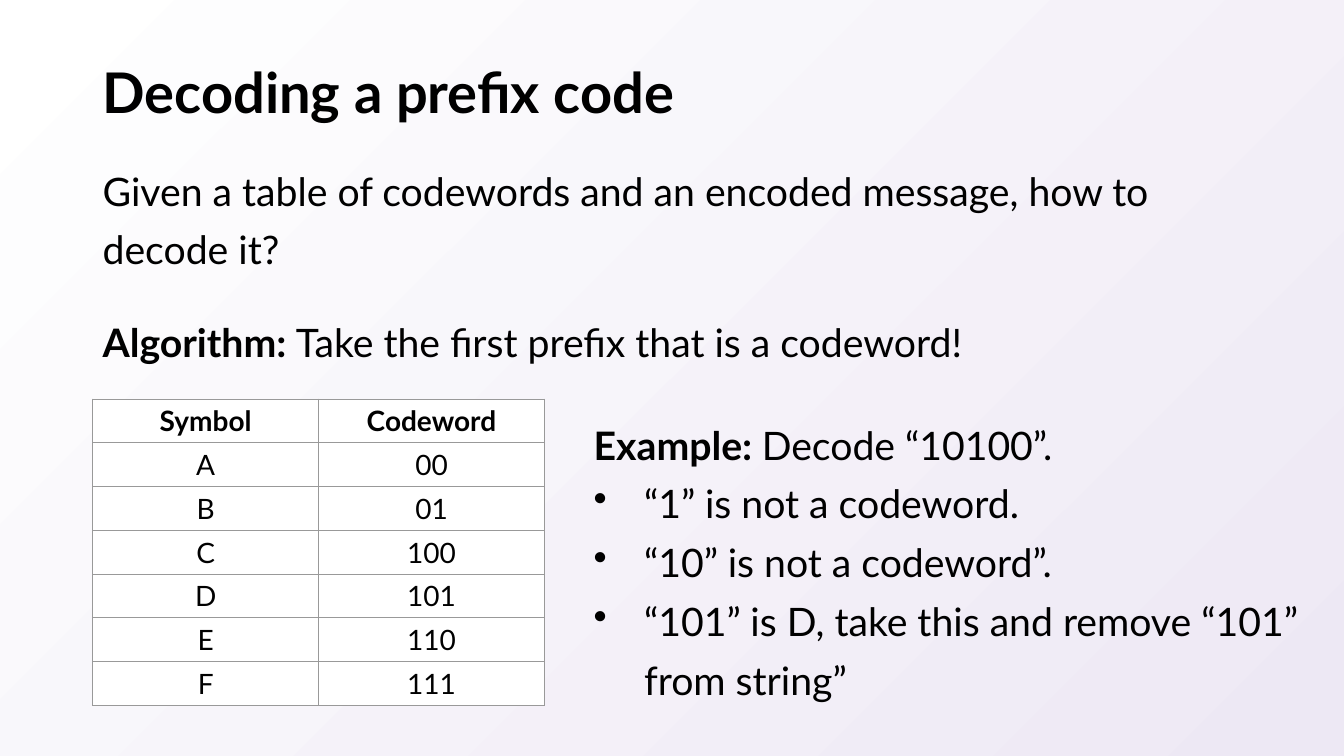
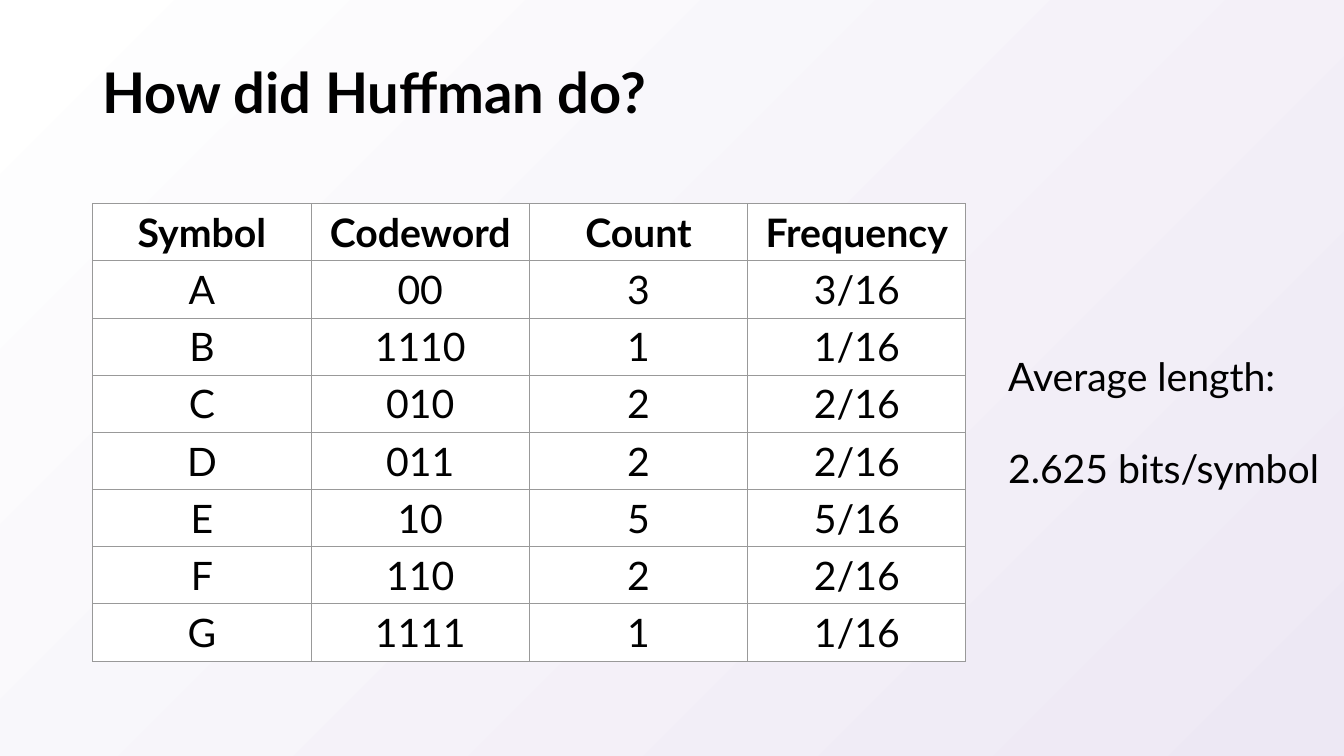
import pptx
import pptx.dml.color
import pptx.enum.text
import pptx.oxml
import pptx.oxml.ns
import pptx.util

Inches = pptx.util.Inches
Pt = pptx.util.Pt
RGBColor = pptx.dml.color.RGBColor
PP_ALIGN = pptx.enum.text.PP_ALIGN
MSO_ANCHOR = pptx.enum.text.MSO_ANCHOR

BLACK = RGBColor(0x00, 0x00, 0x00)
WHITE = RGBColor(0xFF, 0xFF, 0xFF)
LILAC = RGBColor(0xED, 0xE8, 0xF4)
GREY = RGBColor(0x99, 0x99, 0x99)
FONT = "Lato"
LEFT = 0.92
TITLE_BOX = (LEFT, 0.4, 11.5, 1.09)
BODY = {"line_spacing": 1.25}
SPACED = {"line_spacing": 1.25, "space_before": Pt(24)}

CODE_ROWS = [
    ("Symbol", "Codeword"),
    ("A", "00"),
    ("B", "01"),
    ("C", "100"),
    ("D", "101"),
    ("E", "110"),
    ("F", "111"),
]
HUFFMAN_HEAD = ("Symbol", "Codeword", "Count", "Frequency")
HUFFMAN_CODES = [
    ("A", "00", 3),
    ("B", "1110", 1),
    ("C", "010", 2),
    ("D", "011", 2),
    ("E", "10", 5),
    ("F", "110", 2),
    ("G", "1111", 1),
]


def set_attrs(obj, values):
    """Set each attribute named in a dict of format values."""
    for name, value in values.items():
        setattr(obj, name, value)


def add_run(p, text, size, bold=False):
    """Add one run in the deck's font."""
    r = p.add_run()
    r.text = text
    set_attrs(r.font, {"name": FONT, "size": Pt(size), "bold": bold})
    r.font.color.rgb = BLACK


def add_bullet(p):
    """Give a paragraph a hanging bullet."""
    pPr = p._p.get_or_add_pPr()
    pPr.set("marL", str(Inches(0.5)))
    pPr.set("indent", str(Inches(-0.5)))
    bullet = pptx.oxml.parse_xml(
        f'<a:buChar {pptx.oxml.ns.nsdecls("a")} char="•"/>')
    pPr.append(bullet)


def add_text(slide, box, paragraphs, size=28, anchor=MSO_ANCHOR.TOP, wrap=True):
    """Place paragraphs of (format, bulleted, runs) in a box."""
    sp = slide.shapes.add_textbox(*map(Inches, box))
    tf = sp.text_frame
    set_attrs(tf, {"word_wrap": wrap, "vertical_anchor": anchor})
    for i, (values, bulleted, runs) in enumerate(paragraphs):
        p = tf.paragraphs[0] if i == 0 else tf.add_paragraph()
        if bulleted:
            add_bullet(p)
        set_attrs(p, values)
        for text, bold in runs:
            add_run(p, text, size, bold)


def add_borders(cell):
    """Draw a thin grey line on all four sides of a cell."""
    tcPr = cell._tc.get_or_add_tcPr()
    for i, side in enumerate(("lnL", "lnR", "lnT", "lnB")):
        line = pptx.oxml.parse_xml(
            f'<a:{side} {pptx.oxml.ns.nsdecls("a")} w="{Pt(0.75)}">'
            f'<a:solidFill><a:srgbClr val="{GREY}"/></a:solidFill></a:{side}>')
        tcPr.insert(i, line)


def add_code_table(slide, box, rows, size):
    """Fill a box with an evenly divided table under a bold heading row."""
    table = slide.shapes.add_table(
        len(rows), len(rows[0]), *map(Inches, box)).table
    table.horz_banding = False
    for column in table.columns:
        column.width = Inches(box[2] / len(rows[0]))
    for i, row in enumerate(rows):
        for j, text in enumerate(row):
            cell = table.cell(i, j)
            cell.vertical_anchor = MSO_ANCHOR.MIDDLE
            cell.fill.solid()
            cell.fill.fore_color.rgb = WHITE
            add_borders(cell)
            p = cell.text_frame.paragraphs[0]
            p.alignment = PP_ALIGN.CENTER
            add_run(p, text, size, bold=i == 0)


def style_master(prs):
    """Give every slide the diagonal white to lilac background."""
    fill = prs.slide_master.background.fill
    fill.gradient()
    fill.gradient_angle = 315
    for stop, color in zip(fill.gradient_stops, (WHITE, LILAC)):
        stop.color.rgb = color


def add_titled_slide(prs, title):
    """Add a blank slide with its title."""
    slide = prs.slides.add_slide(prs.slide_layouts[6])
    add_text(slide, TITLE_BOX, [({"line_spacing": 0.9}, False, [(title, True)])],
             size=40, anchor=MSO_ANCHOR.MIDDLE)
    return slide


def build_decoding(prs):
    """Build the slide on decoding a prefix code."""
    slide = add_titled_slide(prs, "Decoding a prefix code")
    add_text(slide, (LEFT, 1.49, 11.5, 2.4), [
        (BODY, False, [("Given a table of codewords and an encoded message, "
                        "how to decode it?", False)]),
        (SPACED, False, [("Algorithm: ", True),
                         ("Take the first prefix that is a codeword!", False)]),
    ])
    add_code_table(slide, (LEFT, 3.96, 4.48, 3.03), CODE_ROWS, 20)
    steps = ("“1” is not a codeword.", "“10” is not a codeword”.",
             "“101” is D, take this and remove “101” from string”")
    add_text(slide, (5.79, 4.01, 7.22, 2.98), [
        (BODY, False, [("Example: ", True), ("Decode “10100”.", False)]),
        *((BODY, True, [(step, False)]) for step in steps),
    ])


def build_huffman(prs):
    """Build the slide on the result of Huffman coding."""
    slide = add_titled_slide(prs, "How did Huffman do?")
    total = sum(count for _, _, count in HUFFMAN_CODES)
    rows = [HUFFMAN_HEAD] + [(symbol, code, str(count), f"{count}/{total}")
                             for symbol, code, count in HUFFMAN_CODES]
    add_code_table(slide, (LEFT, 2.02, 8.66, 4.53), rows, 28)
    add_text(slide, (9.9, 3.33, 3.29, 1.55), [
        (BODY, False, [("Average length:", False)]),
        (SPACED, False, [("2.625 bits/symbol", False)]),
    ], wrap=False)


def main():
    """Build and save the deck."""
    prs = pptx.Presentation()
    set_attrs(prs, {"slide_width": Inches(13.33), "slide_height": Inches(7.5)})
    style_master(prs)
    build_decoding(prs)
    build_huffman(prs)
    prs.save("out.pptx")


if __name__ == "__main__":
    main()
